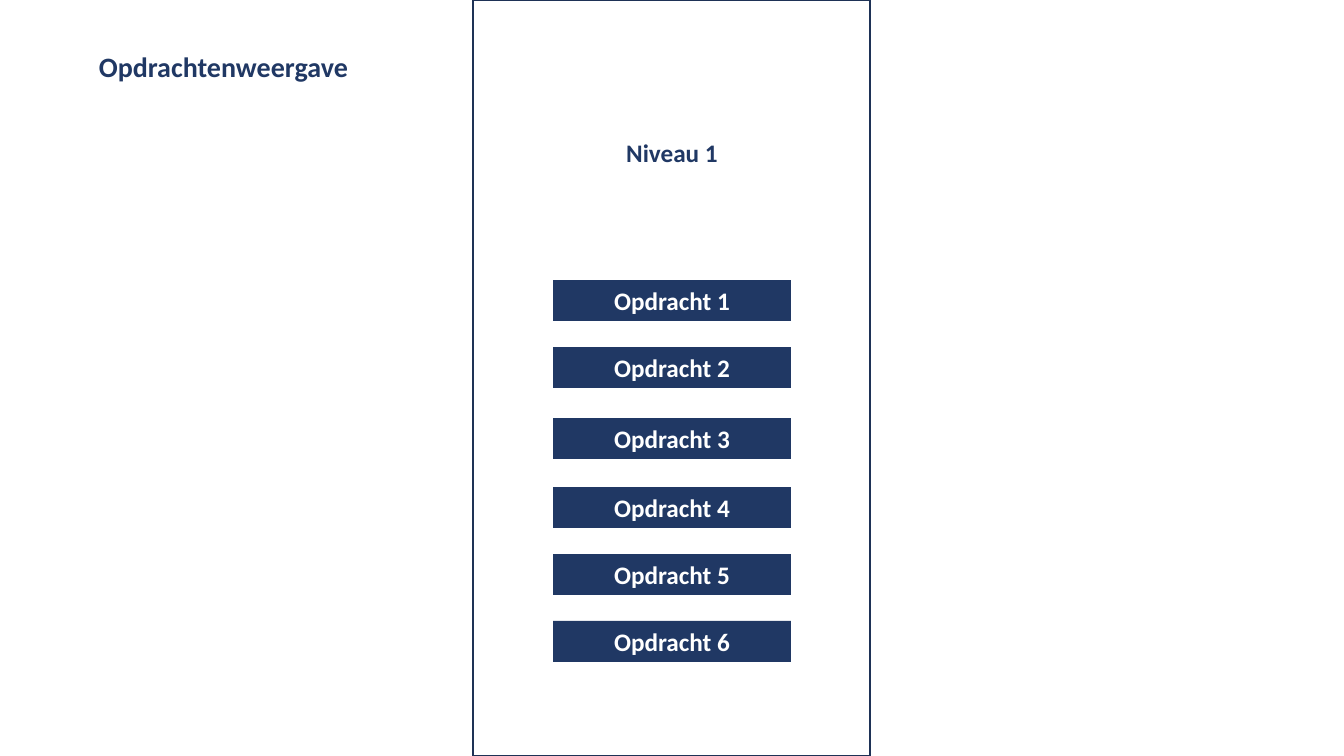
from dataclasses import dataclass

from pptx import Presentation
from pptx.dml.color import RGBColor
from pptx.enum.shapes import MSO_SHAPE
from pptx.enum.text import MSO_ANCHOR, PP_ALIGN
from pptx.util import Emu, Pt

RECTANGLE = MSO_SHAPE.RECTANGLE
CENTER = PP_ALIGN.CENTER
MIDDLE = MSO_ANCHOR.MIDDLE
EMU_PER_PX = 914400 / 100.8


@dataclass(frozen=True)
class Theme:
    font: str = "Calibri"
    navy: RGBColor = RGBColor(0x20, 0x38, 0x64)
    outline: RGBColor = RGBColor(0x1E, 0x32, 0x56)
    white: RGBColor = RGBColor(0xFF, 0xFF, 0xFF)
    title_size: int = 20
    label_size: int = 18
    outline_width: int = 1


THEME = Theme()
LABEL_LEFT, LABEL_WIDTH, LABEL_HEIGHT = 553, 238, 41
LEVEL_TOP = 132
ASSIGNMENT_TOPS = (280, 347, 418, 487, 554, 621)


def px(*lengths):
    return [Emu(round(length * EMU_PER_PX)) for length in lengths]


def write_line(box, text, size, color):
    frame = box.text_frame
    frame.word_wrap = True
    frame.vertical_anchor = MIDDLE
    frame.text = text
    para = frame.paragraphs[0]
    para.alignment = CENTER
    font = para.runs[0].font
    font.name = THEME.font
    font.size = Pt(size)
    font.bold = True
    font.color.rgb = color


def add_title(page, text, area):
    box = page.shapes.add_textbox(*px(*area))
    write_line(box, text, THEME.title_size, THEME.navy)


def add_panel(page, area):
    panel = page.shapes.add_shape(RECTANGLE, *px(*area))
    panel.shadow.inherit = False
    panel.fill.background()
    panel.line.color.rgb = THEME.outline
    panel.line.width = Pt(THEME.outline_width)


def add_label(page, text, top, fill, color):
    area = px(LABEL_LEFT, top, LABEL_WIDTH, LABEL_HEIGHT)
    label = page.shapes.add_shape(RECTANGLE, *area)
    label.shadow.inherit = False
    label.fill.solid()
    label.fill.fore_color.rgb = fill
    label.line.fill.background()
    write_line(label, text, THEME.label_size, color)


def main():
    deck = Presentation()
    deck.slide_width, deck.slide_height = px(1344, 756)
    page = deck.slides.add_slide(deck.slide_layouts[6])
    add_panel(page, (473, 0, 397, 756))
    add_title(page, "Opdrachtenweergave", (55, 44, 337, 44))
    add_label(page, "Niveau 1", LEVEL_TOP, THEME.white, THEME.navy)
    for number, top in enumerate(ASSIGNMENT_TOPS, start=1):
        add_label(page, f"Opdracht {number}", top, THEME.navy, THEME.white)
    deck.save("out.pptx")


if __name__ == "__main__":
    main()
